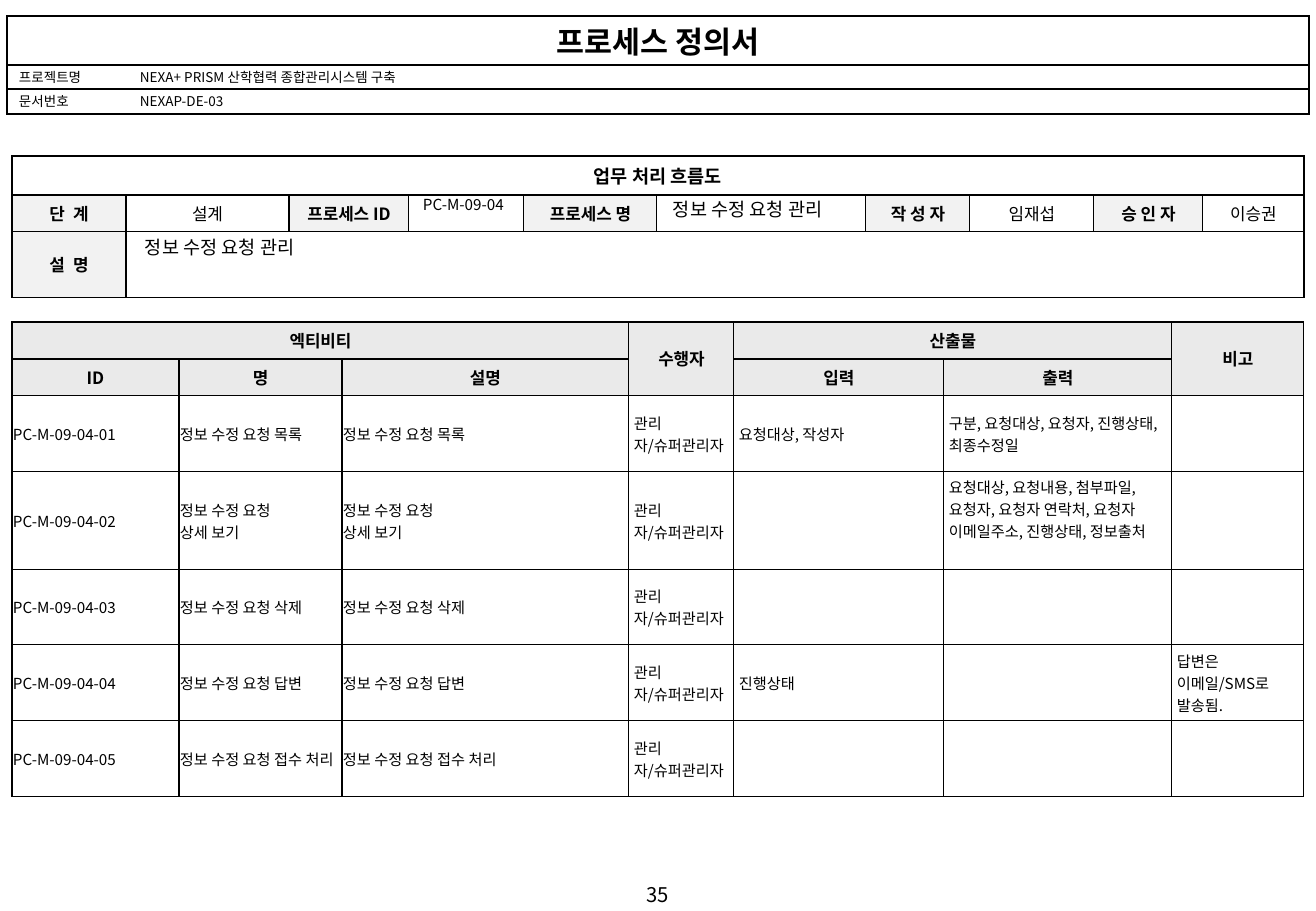
from collections.abc import Callable
from dataclasses import dataclass, field, replace
from itertools import product
from typing import Any

from lxml.etree import SubElement
from pptx import Presentation
from pptx.dml.color import RGBColor
from pptx.enum.text import MSO_ANCHOR, MSO_AUTO_SIZE, PP_ALIGN
from pptx.oxml.ns import qn
from pptx.util import Emu, Pt

EMU_PER_PX = 914400 / 121.5
PLAIN_TABLE = "{2D5ABB26-0587-4C30-8999-92F81FD0307C}"


@dataclass(frozen=True)
class Theme:
    font: str = "Noto Sans CJK KR"
    ink: str = "000000"
    label: str = "F2F2F2"
    header: str = "EAEAEA"
    title: int = 18
    page: int = 12
    heading: int = 11
    table: int = 10
    small: int = 9
    document: int = 8
    line: float = 0.75
    frame: float = 1


@dataclass(frozen=True)
class Style:
    size: int
    bold: bool = False
    align: PP_ALIGN = PP_ALIGN.LEFT
    anchor: MSO_ANCHOR = MSO_ANCHOR.MIDDLE
    margins: tuple[int, int, int, int] = (12, 6, 12, 6)
    fill: str | None = None
    spacing: int = 0


@dataclass(frozen=True)
class Grid:
    left: int
    top: int
    cols: list[int]
    rows: list[int]
    texts: list[list[str]]
    merges: list[tuple[int, int, int, int]]
    style: Callable[[int, int], Style]
    line: float
    frame: dict[str, float] = field(default_factory=dict)
    inner_verticals: bool = True


@dataclass(frozen=True)
class Label:
    text: str
    box: tuple[int, int, int, int]
    style: Style


THEME = Theme()
CENTER, TOP = PP_ALIGN.CENTER, MSO_ANCHOR.TOP
TITLE = Style(THEME.title, True, CENTER, TOP, (12, 2, 12, 2))
DOCUMENT = Style(THEME.document, anchor=TOP, margins=(12, 2, 12, 2))
HEADING = Style(THEME.heading, True, CENTER)
VALUE = Style(THEME.table, align=CENTER)
LABEL = replace(VALUE, bold=True, fill=THEME.label)
SPACED_LABEL = replace(LABEL, spacing=130)
HEADER = replace(LABEL, fill=THEME.header)
TIGHT = Style(THEME.small, margins=(1, 1, 1, 0))
LOOSE = Style(THEME.small, margins=(5, 5, 5, 4))
LOOSE_TOP = replace(LOOSE, anchor=TOP)
PAGE = Style(THEME.page, align=CENTER, anchor=TOP)
NOTE = Style(THEME.heading, anchor=TOP)


def px(n: float) -> Emu:
    return Emu(round(n * EMU_PER_PX))


def assign(target: Any, values: dict[str, Any]) -> None:
    for name, value in values.items():
        setattr(target, name, value)


def margins(style: Style) -> dict[str, Emu]:
    sides = ("left", "top", "right", "bottom")
    return {f"margin_{side}": px(n) for side, n in zip(sides, style.margins)}


def write(tf: Any, text: str, style: Style) -> None:
    for i, line in enumerate(text.split("\n")):
        p = tf.paragraphs[0] if i == 0 else tf.add_paragraph()
        p.alignment = style.align
        if not line:
            SubElement(p._p, qn("a:endParaRPr"), sz=str(style.size * 100))
            continue
        r = p.add_run()
        r.text = line
        assign(r.font, {"size": Pt(style.size), "bold": style.bold, "name": THEME.font})
        r.font.color.rgb = RGBColor.from_string(THEME.ink)
        rPr = r._r.get_or_add_rPr()
        SubElement(rPr, qn("a:ea"), typeface=THEME.font)
        rPr.set("kern", "0")
        if style.spacing:
            rPr.set("spc", str(style.spacing))


def add_label(s: Any, label: Label) -> None:
    tf = s.shapes.add_textbox(*map(px, label.box)).text_frame
    assign(tf, {"word_wrap": True, "auto_size": MSO_AUTO_SIZE.NONE,
                "vertical_anchor": label.style.anchor, **margins(label.style)})
    write(tf, label.text, label.style)


def add_border(cell: Any, side: str, width: float) -> None:
    ln = SubElement(cell._tc.get_or_add_tcPr(), qn(f"a:ln{side}"), w=str(Pt(width)))
    SubElement(SubElement(ln, qn("a:solidFill")), qn("a:srgbClr"), val=THEME.ink)


def add_grid(s: Any, grid: Grid) -> None:
    n_rows, n_cols = len(grid.rows), len(grid.cols)
    frame = s.shapes.add_table(n_rows, n_cols, px(grid.left), px(grid.top),
                               px(sum(grid.cols)), px(sum(grid.rows)))
    table = frame.table
    assign(table, {"first_row": False, "horz_banding": False})
    table._tbl.tblPr.find(qn("a:tableStyleId")).text = PLAIN_TABLE
    for col, width in zip(table.columns, grid.cols):
        col.width = px(width)
    for row, height in zip(table.rows, grid.rows):
        row.height = px(height)
    owner = {at: at for at in product(range(n_rows), range(n_cols))}
    last = dict(owner)
    for r0, c0, r1, c1 in grid.merges:
        table.cell(r0, c0).merge(table.cell(r1, c1))
        last[r0, c0] = (r1, c1)
        for at in product(range(r0, r1 + 1), range(c0, c1 + 1)):
            owner[at] = (r0, c0)
    for (r, c), origin in owner.items():
        cell, style = table.cell(r, c), grid.style(*origin)
        bottom, right = last[r, c]
        neighbours = {"L": (r, c - 1), "R": (r, right + 1), "T": (r - 1, c), "B": (bottom + 1, c)}
        for side, at in neighbours.items():
            edge = at not in owner
            shown = edge or grid.inner_verticals or side in "TB"
            if shown and owner.get(at) != origin:
                add_border(cell, side, grid.frame.get(side, grid.line) if edge else grid.line)
        if style.fill:
            cell.fill.solid()
            cell.fill.fore_color.rgb = RGBColor.from_string(style.fill)
        assign(cell, {"vertical_anchor": style.anchor, **margins(style)})
        texts = grid.texts[r]
        write(cell.text_frame, texts[c] if c < len(texts) else "", style)


def document_style(r: int, c: int) -> Style:
    return TITLE if r == 0 else DOCUMENT


def flow_style(r: int, c: int) -> Style:
    if r == 0:
        return HEADING
    if c == 0:
        return SPACED_LABEL
    return LABEL if r == 1 and c % 2 == 0 else VALUE


def activity_style(r: int, c: int) -> Style:
    if r < 2:
        return HEADER
    if c < 3:
        return TIGHT
    return LOOSE_TOP if (r, c) == (3, 5) else LOOSE


REQUEST = "정보 수정 요청"
ACTIVITIES = [
    (f"{REQUEST} 목록", "요청대상, 작성자", "구분, 요청대상, 요청자, 진행상태, 최종수정일", ""),
    (f"{REQUEST}\n상세 보기", "", "요청대상, 요청내용, 첨부파일, 요청자, 요청자 연락처, "
     "요청자 이메일주소, 진행상태, 정보출처", ""),
    (f"{REQUEST} 삭제", "", "", ""),
    (f"{REQUEST} 답변", "진행상태", "", "답변은 이메일/SMS로 발송됨."),
    (f"{REQUEST} 접수 처리", "", "", ""),
]
GRIDS = [
    Grid(7, 16, [121, 1181], [49, 24, 25],
         [["프로세스 정의서"], ["프로젝트명", "NEXA+ PRISM 산학협력 종합관리시스템 구축"],
          ["문서번호", "NEXAP-DE-03"]],
         [(0, 0, 0, 1)], document_style, THEME.frame, inner_verticals=False),
    Grid(12, 156, [114, 163, 120, 115, 133, 209, 104, 124, 109, 101], [39, 36, 66],
         [["업무 처리 흐름도"],
          ["단 계", "설계", "프로세스 ID", "", "프로세스 명", "", "작 성 자", "임재섭", "승 인 자", "이승권"],
          ["설 명"]],
         [(0, 0, 0, 9), (2, 1, 2, 9)], flow_style, THEME.line, dict.fromkeys("LRTB", THEME.frame)),
    Grid(12, 322, [167, 163, 287, 105, 210, 228, 132], [37, 36, 76, 98, 75, 76, 76],
         [["엑티비티", "", "", "수행자", "산출물", "", "비고"],
          ["ID", "명", "설명", "", "입력", "출력"],
          *([f"PC-M-09-04-{i:02}", name, name, "관리자/슈퍼관리자", *rest]
            for i, (name, *rest) in enumerate(ACTIVITIES, 1))],
         [(0, 0, 0, 2), (0, 3, 1, 3), (0, 4, 0, 5), (0, 6, 1, 6)],
         activity_style, THEME.line, {"L": THEME.frame}),
]
LABELS = [
    Label("35", (0, 876, 1316, 36), PAGE),
    Label("PC-M-09-04", (411, 189, 113, 30), replace(NOTE, size=THEME.small)),
    Label(f"{REQUEST} 관리", (661, 192, 208, 35), NOTE),
    Label(f"{REQUEST} 관리", (133, 230, 1158, 35), NOTE),
]

prs = Presentation()
assign(prs, {"slide_width": px(1316), "slide_height": px(911)})
s = prs.slides.add_slide(prs.slide_layouts[6])
for grid in GRIDS:
    add_grid(s, grid)
for label in LABELS:
    add_label(s, label)
prs.save("out.pptx")
